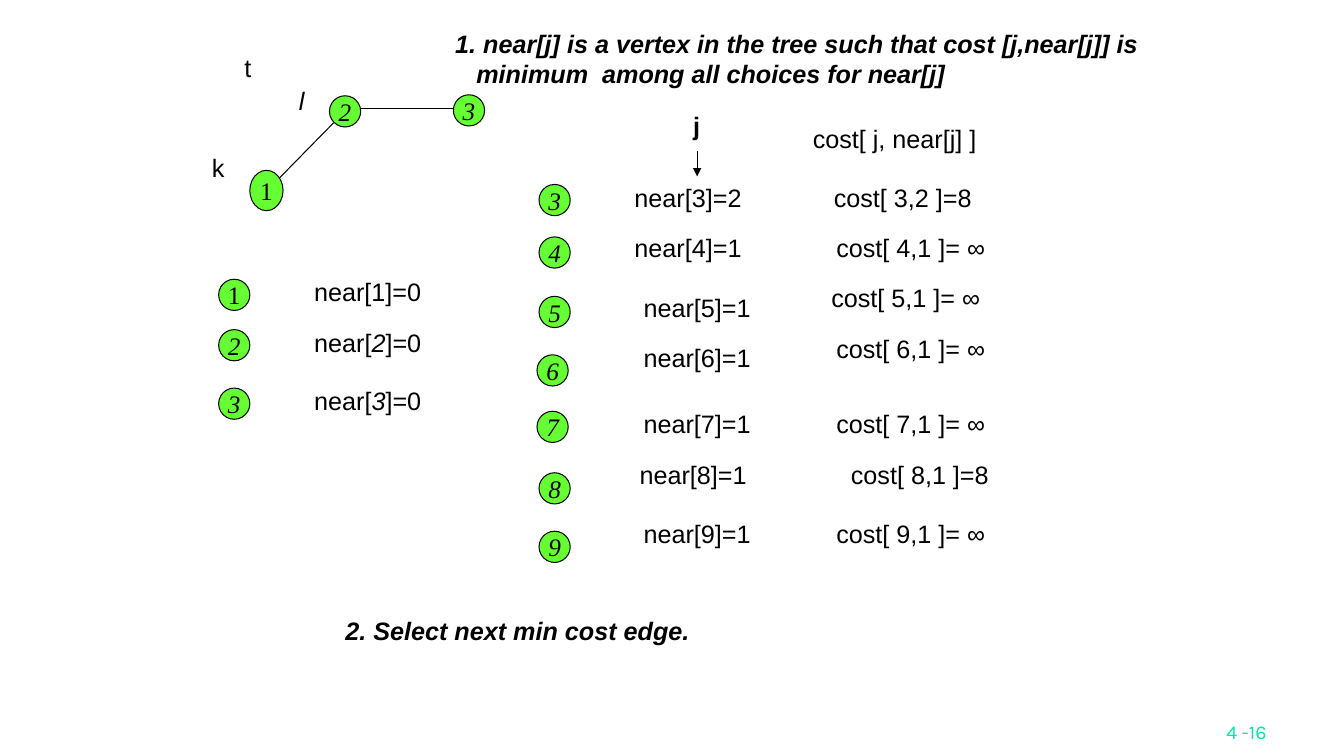
from lxml import etree
from pptx import Presentation
from pptx.dml.color import RGBColor
from pptx.enum import shapes, text
from pptx.oxml import ns
from pptx.util import Inches, Pt

COLORS = {"node": "66FF33", "ink": "000000", "paper": "FFFFFF", "page": "00E4A8"}
SIZE = 0.31  # node diameter
LEFT, MID = text.PP_ALIGN.LEFT, text.PP_ALIGN.CENTER

# vertex, node left and top, near left and top, cost left and top
FRINGE = [
    (3, 5.35, 1.83, 6.33, 1.83, 8, 1.83),
    (4, 5.35, 2.35, 6.33, 2.33, 8.08, 2.33),
    (5, 5.35, 2.94, 6.42, 2.92, 8.03, 2.83),
    (6, 5.33, 3.52, 6.42, 3.42, 8.08, 3.33),
    (7, 5.33, 4.08, 6.42, 4.08, 8.08, 4.08),
    (8, 5.35, 4.69, 6.38, 4.58, 8.17, 4.58),
    (9, 5.35, 5.27, 6.42, 5.17, 8.08, 5.17),
]
NEAR = {3: 2}  # every other vertex is nearest to 1
COST = {3: "8", 8: "8"}  # every other edge costs infinity


def color(name):
    return RGBColor.from_string(COLORS[name])


def style(font, face="Arial", size=18, ink="ink", bold=False, italic=False):
    font.name, font.size = face, Pt(size)
    font.bold, font.italic = bold, italic
    font.color.rgb = color(ink)


def add_box(slide, kind, box, fill, line):
    shape = slide.shapes.add_shape(kind, *map(Inches, box))
    shape.shadow.inherit = False
    shape.fill.solid()
    shape.fill.fore_color.rgb = color(fill)
    shape.line.color.rgb = color(line)
    shape.line.width = Pt(0.75)
    shape.text_frame.word_wrap = False
    shape.text_frame.vertical_anchor = text.MSO_ANCHOR.MIDDLE
    return shape.text_frame


def add_node(slide, vertex, left, top, width=SIZE, height=SIZE):
    frame = add_box(slide, shapes.MSO_SHAPE.OVAL, (left, top, width, height), "node", "ink")
    frame.text = str(vertex)
    para = frame.paragraphs[0]
    para.alignment = MID
    style(para.runs[0].font, "Times New Roman", italic=vertex != 1)


def add_label(slide, box, *parts, bold=False):
    """Add a centred label whose second part, if any, is italic."""
    frame = add_box(slide, shapes.MSO_SHAPE.RECTANGLE, box, "paper", "paper")
    para = frame.paragraphs[0]
    para.alignment = MID
    for i, part in enumerate(parts):
        run = para.add_run()
        run.text = part
        style(run.font, bold=bold, italic=i == 1)


def add_step(slide, box, *lines):
    """Add a bold numbered step; its later lines are indented."""
    frame = add_box(slide, shapes.MSO_SHAPE.RECTANGLE, box, "paper", "paper")
    frame.text = "\n".join(lines)
    for i, para in enumerate(frame.paragraphs):
        para.alignment = LEFT
        if i:
            para._p.get_or_add_pPr().set("marL", str(Inches(0.21)))
        style(para.runs[0].font, bold=True, italic=True)


def add_edge(slide, x1, y1, x2, y2, arrow=False):
    edge = slide.shapes.add_connector(
        shapes.MSO_CONNECTOR.STRAIGHT, *map(Inches, (x1, y1, x2, y2)))
    edge.line.color.rgb = color("ink")
    edge.line.width = Pt(0.75)
    if arrow:
        tail = etree.SubElement(edge.line._get_or_add_ln(), ns.qn("a:tailEnd"))
        tail.set("type", "triangle")
    etree.SubElement(edge._element.spPr, ns.qn("a:effectLst"))


def add_tree(slide, left, top):
    """Draw the tree so far, with its edge (k, l)."""
    add_edge(slide, left + 0.75, top + 1.29, left + 1.31, top + 0.72)
    add_edge(slide, left + 1.58, top + 0.58, left + 2.5, top + 0.58)
    add_node(slide, 1, left + 0.48, top + 1.19, 0.33, 0.4)
    add_node(slide, 2, left + 1.27, top + 0.45)
    add_node(slide, 3, left + 2.5, top + 0.44)
    add_label(slide, (left + 0.25, top, 0.42, 0.33), "t")
    add_label(slide, (left, top + 1, 0.33, 0.33), "k")
    add_label(slide, (left + 0.83, top + 0.33, 0.33, 0.33), "", "l")


def add_done(slide, left, top):
    """List the vertices already in the tree."""
    for vertex, drop in ((1, 0), (2, 0.5), (3, 1.08)):
        parts = [f"near[{vertex}]=0"] if vertex == 1 else ["near[", str(vertex), "]=0"]
        add_node(slide, vertex, left, top + drop)
        add_label(slide, (left + 0.98, top + drop, 1, 0.25), *parts)


def add_fringe(slide):
    """List the vertices outside the tree with their cheapest edges."""
    add_label(slide, (6.75, 1.08, 0.33, 0.33), "j", bold=True)
    add_edge(slide, 6.92, 1.5, 6.92, 1.75, arrow=True)
    add_label(slide, (7.92, 1.25, 1.92, 0.25), "cost[ j, near[j] ]")
    for vertex, x, y, near_x, near_y, cost_x, cost_y in FRINGE:
        near = NEAR.get(vertex, 1)
        cost = COST.get(vertex, " ∞")
        add_node(slide, vertex, x, y)
        add_label(slide, (near_x, near_y, 1, 0.25), f"near[{vertex}]={near}")
        add_label(slide, (cost_x, cost_y, 1.92, 0.25), f"cost[ {vertex},{near} ]={cost}")


def add_page(slide, box):
    frame = slide.shapes.add_textbox(*map(Inches, box)).text_frame
    frame.word_wrap = True
    frame.vertical_anchor = text.MSO_ANCHOR.BOTTOM
    frame.text = "4 -16"
    para = frame.paragraphs[0]
    para.alignment = text.PP_ALIGN.RIGHT
    style(para.runs[0].font, "Karla", 14, "page")


def main():
    deck = Presentation()
    deck.slide_width, deck.slide_height = Inches(13.34), Inches(7.5)
    slide = deck.slides.add_slide(deck.slide_layouts[6])
    add_step(slide, (4.42, 0.33, 6.5, 0.5),
             "1. near[j] is a vertex in the tree such that cost [j,near[j]] is",
             "minimum  among all choices for near[j]")
    add_tree(slide, 2, 0.5)
    add_done(slide, 2.17, 2.77)
    add_fringe(slide)
    add_step(slide, (3.33, 6, 6.5, 0.5), "2. Select next min cost edge.")
    add_page(slide, (9.89, 6.92, 2.78, 0.5))
    deck.save("out.pptx")


if __name__ == "__main__":
    main()
